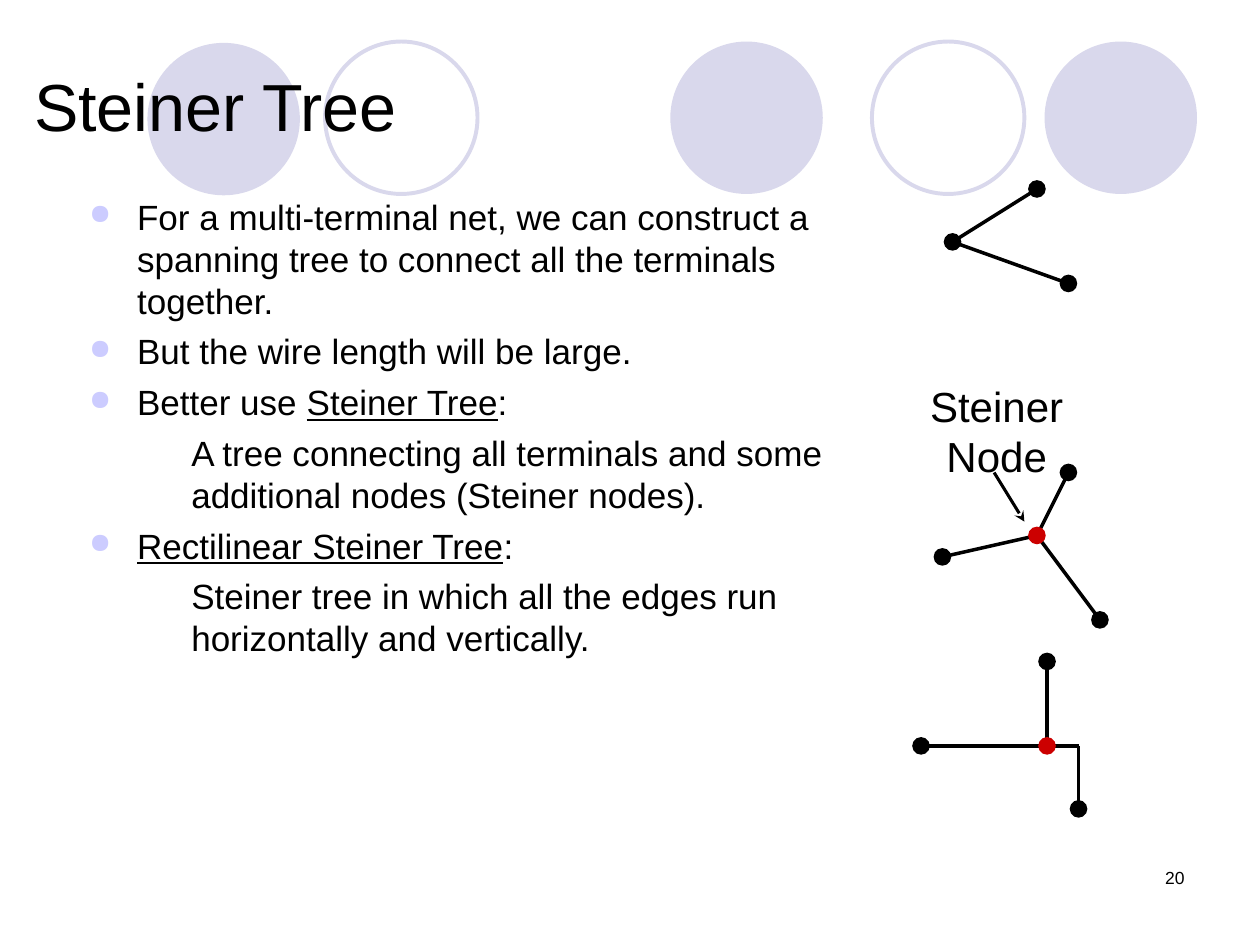
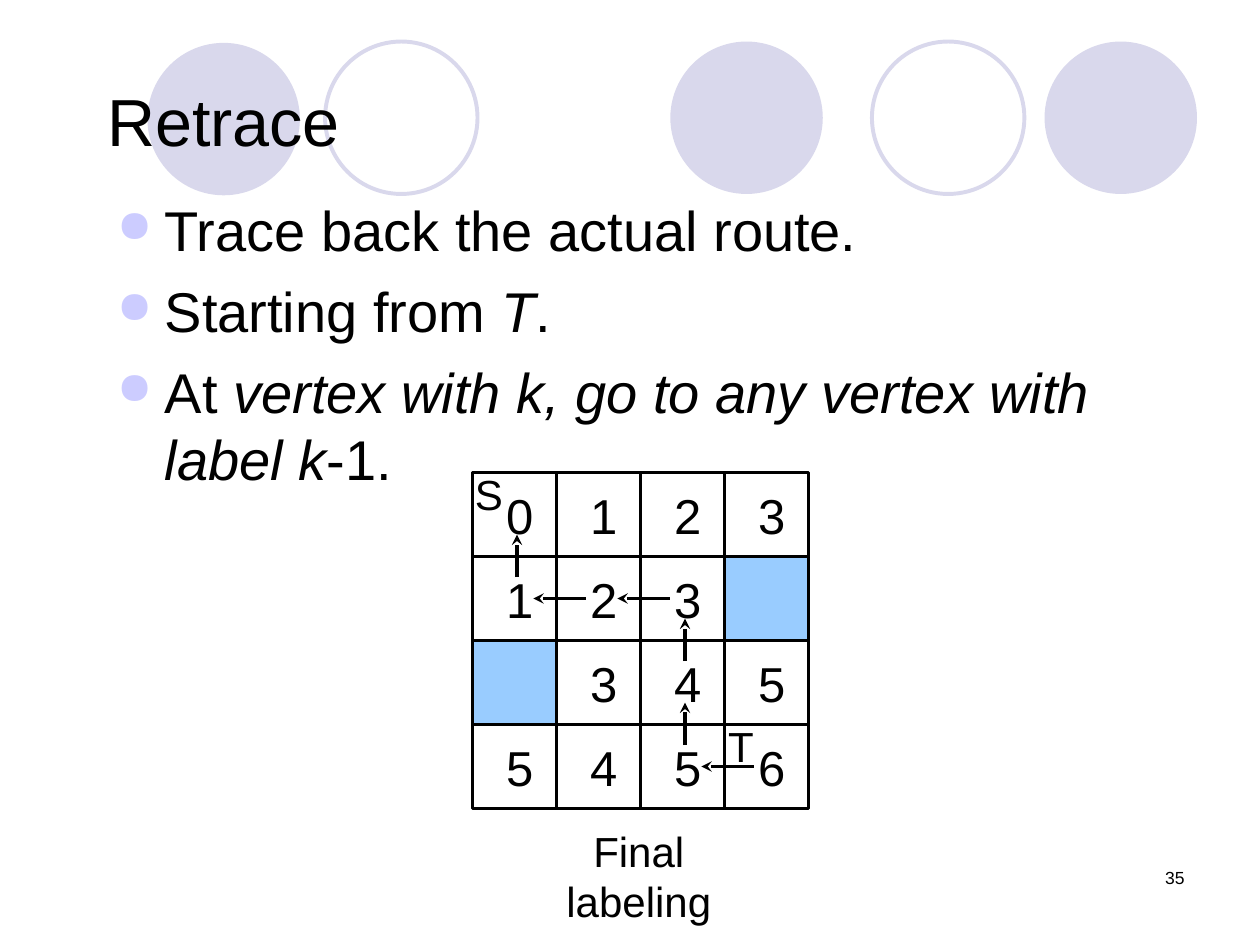
from dataclasses import dataclass

from lxml.etree import SubElement
from pptx import Presentation
from pptx.dml.color import RGBColor
from pptx.enum.shapes import MSO_CONNECTOR, MSO_SHAPE
from pptx.enum.text import MSO_ANCHOR, PP_ALIGN
from pptx.oxml.ns import qn
from pptx.util import Inches, Pt


@dataclass(frozen=True)
class Theme:
    font: str = "Arial"
    ink: str = "000000"
    circle: str = "D9D8EC"
    bullet: str = "CCCCFF"
    steiner: str = "CC0000"
    blocked: str = "99CCFF"
    title: int = 38
    label: int = 24
    cell: int = 28
    number: int = 10
    edge: float = 2
    pointer: float = 1.75
    ring: float = 2.25


THEME = Theme()

# left, top, filled
CIRCLES = [
    (5.32, 0.33, True),
    (8.29, 0.33, True),
    (1.17, 0.34, True),
    (6.92, 0.33, False),
    (2.58, 0.33, False),
]
CIRCLE_SIZE = 1.21
NUMBER_BOX = (7.17, 6.83, 2.33, 0.5)

# Each paragraph is a level and its runs; a run is a text and its format.
PLAIN, UNDERLINE, ITALIC = {}, {"underline": True}, {"italic": True}

STEINER = {
    "title": "Steiner Tree",
    "title_box": (0.17, 0.5, 9.67, 0.67),
    "number": "20",
    "body_box": (0.61, 1.5, 6.31, 5.83),
    "size": 20,
    "gap": 5,
    "body": [
        (0, [("For a multi-terminal net, we can construct a spanning tree "
              "to connect all the terminals together.", PLAIN)]),
        (0, [("But the wire length will be large.", PLAIN)]),
        (0, [("Better use ", PLAIN), ("Steiner Tree", UNDERLINE), (":", PLAIN)]),
        (1, [("A tree connecting all terminals and some additional nodes "
              "(Steiner nodes).", PLAIN)]),
        (0, [("Rectilinear Steiner Tree", UNDERLINE), (":", PLAIN)]),
        (1, [("Steiner tree in which all the edges run horizontally and "
              "vertically.", PLAIN)]),
    ],
}

RETRACE = {
    "title": "Retrace",
    "title_box": (0.75, 0.33, 8.5, 1.25),
    "number": "35",
    "body_box": (0.83, 1.5, 8.25, 5.5),
    "size": 32,
    "gap": 8,
    "body": [
        (0, [("Trace back the actual route.", PLAIN)]),
        (0, [("Starting from ", PLAIN), ("T", ITALIC), (".", PLAIN)]),
        (0, [("At ", PLAIN), ("vertex with k, go to any vertex with label k", ITALIC),
             ("-1.", PLAIN)]),
    ],
}

TREES = [
    {
        "terminals": [(7.56, 1.92), (8.48, 2.25), (8.23, 1.5)],
        "steiner": [],
        "edges": [((7.56, 1.92), (8.48, 2.25)), ((7.56, 1.92), (8.23, 1.5))],
    },
    {
        "terminals": [(8.73, 4.92), (8.48, 3.75), (7.48, 4.42)],
        "steiner": [(8.23, 4.25)],
        "edges": [((8.23, 4.25), (8.73, 4.92)), ((8.23, 4.25), (8.48, 3.75)),
                  ((8.23, 4.25), (7.48, 4.42))],
    },
    {
        "terminals": [(8.56, 6.42), (8.31, 5.25), (7.31, 5.92)],
        "steiner": [(8.31, 5.92)],
        "edges": [((8.56, 5.92), (8.56, 6.42)), ((8.31, 5.92), (8.31, 5.25)),
                  ((8.56, 5.92), (7.31, 5.92))],
    },
]
NODE_SIZE = 0.14
STEINER_LABEL = (["Steiner", "Node"], (6.92, 3.02, 1.98, 0.8))
STEINER_POINTER = ((7.89, 3.75), (8.13, 4.14))

BLOCKED = ""
LABELS = [
    ["0", "1", "2", "3"],
    ["1", "2", "3", BLOCKED],
    [BLOCKED, "3", "4", "5"],
    ["5", "4", "5", "6"],
]
GRID_LEFT, GRID_TOP, CELL = 3.75, 3.75, 2 / 3
ROUTE = [(3, 3), (3, 2), (2, 2), (1, 2), (1, 1), (1, 0), (0, 0)]  # row, column
GRID_LABELS = [
    ("S", (3.67, 3.67, 0.42, 0.5)),
    ("T", (5.68, 5.67, 0.4, 0.5)),
    ("Final labeling", (3.99, 6.5, 2.16, 0.5)),
]


def rgb(color):
    return RGBColor.from_string(color)


def inches(values):
    return [Inches(value) for value in values]


def add_run(paragraph, text, size, **style):
    run = paragraph.add_run()
    run.text = text
    style = {"name": THEME.font, "size": Pt(size), **style}
    for attribute, value in style.items():
        setattr(run.font, attribute, value)
    run.font.color.rgb = rgb(THEME.ink)


def add_label(slide, lines, box, size, align=PP_ALIGN.CENTER, wrap=False, inset=True):
    frame = slide.shapes.add_textbox(*inches(box)).text_frame
    frame.word_wrap = wrap
    if not inset:
        for side in ("left", "top", "right", "bottom"):
            setattr(frame, f"margin_{side}", 0)
    for index, line in enumerate(lines):
        paragraph = frame.add_paragraph() if index else frame.paragraphs[0]
        paragraph.alignment = align
        add_run(paragraph, line, size)


def add_preset(slide, preset, box, fill=None, line=None, width=THEME.edge):
    shape = slide.shapes.add_shape(preset, *inches(box))
    shape.shadow.inherit = False
    if fill:
        shape.fill.solid()
        shape.fill.fore_color.rgb = rgb(fill)
    else:
        shape.fill.background()
    if line:
        shape.line.color.rgb = rgb(line)
        shape.line.width = Pt(width)
    else:
        shape.line.fill.background()
    return shape


def add_edge(slide, start, end, width=THEME.edge, arrow=False):
    edge = slide.shapes.add_connector(MSO_CONNECTOR.STRAIGHT, *inches(start + end))
    edge.line.color.rgb = rgb(THEME.ink)
    edge.line.width = Pt(width)
    properties = edge.element.spPr
    if arrow:
        SubElement(properties.find(qn("a:ln")), qn("a:tailEnd"), type="stealth")
    SubElement(properties, qn("a:effectLst"))


def set_bullet(paragraph, level):
    properties = paragraph._p.get_or_add_pPr()
    if level:
        properties.set("marL", str(Inches(0.81)))
        return
    properties.set("marL", str(Inches(0.38)))
    properties.set("indent", str(Inches(-0.38)))
    color = SubElement(properties, qn("a:buClr"))
    SubElement(color, qn("a:srgbClr"), val=THEME.bullet)
    SubElement(properties, qn("a:buSzPct"), val="80000")
    SubElement(properties, qn("a:buChar"), char="●")


def add_circles(slide, layout):
    """Draw the circles and move them behind the placeholders of the layout."""
    for position, (left, top, filled) in enumerate(CIRCLES):
        look = {"fill": THEME.circle} if filled else {"line": THEME.circle}
        circle = add_preset(slide, MSO_SHAPE.OVAL, (left, top, CIRCLE_SIZE, CIRCLE_SIZE),
                            width=THEME.ring, **look)
        layout.shapes.element.insert(2 + position, circle.element)


def add_content_slide(presentation, layout, content):
    slide = presentation.slides.add_slide(layout)
    title = slide.shapes.title
    for side, value in zip(("left", "top", "width", "height"), content["title_box"]):
        setattr(title, side, Inches(value))
    title.text_frame.vertical_anchor = MSO_ANCHOR.MIDDLE
    heading = title.text_frame.paragraphs[0]
    heading.alignment = PP_ALIGN.LEFT
    add_run(heading, content["title"], THEME.title)

    body = slide.shapes.add_textbox(*inches(content["body_box"])).text_frame
    body.word_wrap = True
    for index, (level, runs) in enumerate(content["body"]):
        paragraph = body.add_paragraph() if index else body.paragraphs[0]
        set_bullet(paragraph, level)
        paragraph.level = level
        paragraph.space_before = Pt(content["gap"] if index else 0)
        for text, style in runs:
            add_run(paragraph, text, content["size"], **style)

    add_label(slide, [content["number"]], NUMBER_BOX, THEME.number, PP_ALIGN.RIGHT, True)
    return slide


def add_tree(slide, tree):
    for start, end in tree["edges"]:
        add_edge(slide, start, end)
    for group, color in (("terminals", THEME.ink), ("steiner", THEME.steiner)):
        for x, y in tree[group]:
            box = (x - NODE_SIZE / 2, y - NODE_SIZE / 2, NODE_SIZE, NODE_SIZE)
            add_preset(slide, MSO_SHAPE.OVAL, box, fill=color)


def add_grid(slide):
    for row, labels in enumerate(LABELS):
        for column, label in enumerate(labels):
            box = (GRID_LEFT + column * CELL, GRID_TOP + row * CELL, CELL, CELL)
            fill = THEME.blocked if label == BLOCKED else None
            cell = add_preset(slide, MSO_SHAPE.RECTANGLE, box, fill, THEME.ink)
            if label == BLOCKED:
                continue
            frame = cell.text_frame
            frame.vertical_anchor = MSO_ANCHOR.MIDDLE
            frame.margin_left, frame.margin_right = Inches(0.18), Inches(0.1)
            frame.paragraphs[0].alignment = PP_ALIGN.CENTER
            add_run(frame.paragraphs[0], label, THEME.cell)


def add_route(slide):
    """Draw an arrow between the labels of each two cells on the route."""
    for (row, column), (next_row, next_column) in zip(ROUTE, ROUTE[1:]):
        x, next_x = (GRID_LEFT + (c + 0.5) * CELL for c in (column, next_column))
        y, next_y = (GRID_TOP + (r + 0.5) * CELL for r in (row, next_row))
        if row == next_row:
            add_edge(slide, (x - 0.1, y), (next_x + 0.15, y), arrow=True)
        else:
            add_edge(slide, (x + 0.02, y - 0.17), (x + 0.02, next_y + 0.16), arrow=True)


def main():
    presentation = Presentation()
    presentation.slide_width, presentation.slide_height = Inches(10), Inches(7.5)
    title_only = presentation.slide_layouts[5]

    steiner = add_content_slide(presentation, title_only, STEINER)
    add_circles(steiner, title_only)
    for tree in TREES:
        add_tree(steiner, tree)
    lines, box = STEINER_LABEL
    add_label(steiner, lines, box, THEME.label, wrap=True, inset=False)
    add_edge(steiner, *STEINER_POINTER, width=THEME.pointer, arrow=True)

    retrace = add_content_slide(presentation, title_only, RETRACE)
    add_grid(retrace)
    for text, box in GRID_LABELS:
        add_label(retrace, [text], box, THEME.label)
    add_route(retrace)

    presentation.save("out.pptx")


if __name__ == "__main__":
    main()
